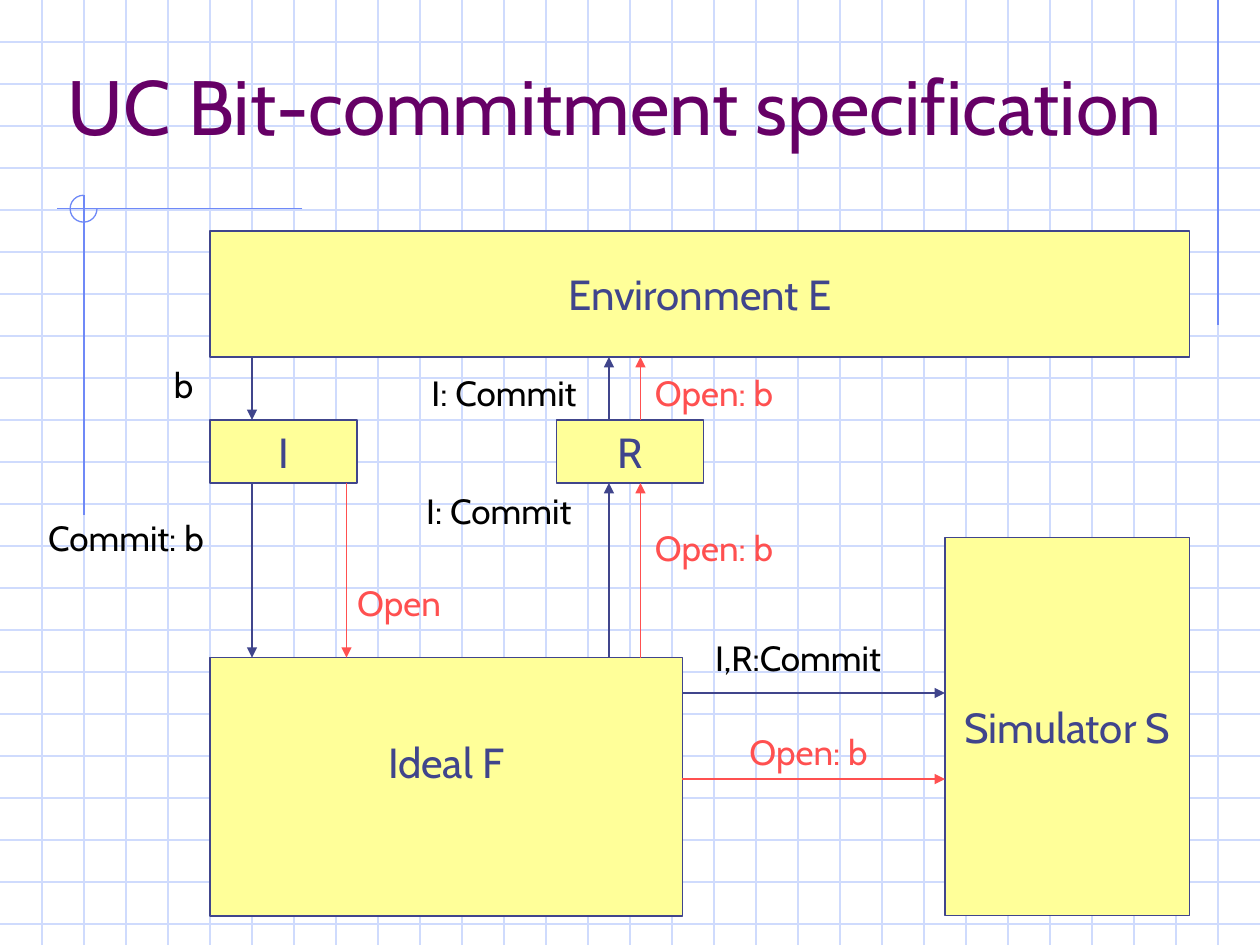
from dataclasses import dataclass

from lxml.etree import SubElement
from pptx import Presentation
from pptx.dml.color import RGBColor
from pptx.enum.shapes import MSO_CONNECTOR, MSO_SHAPE
from pptx.enum.text import MSO_ANCHOR as Anchor
from pptx.enum.text import MSO_AUTO_SIZE as AutoSize
from pptx.enum.text import PP_ALIGN as Align
from pptx.oxml.ns import qn
from pptx.slide import Slide
from pptx.text.text import TextFrame
from pptx.util import Emu, Inches, Pt

# The slide is ruled into squares of a third of an inch
COLUMNS, ROWS = 30, 22.5
SQUARE = Inches(1) / 3
FONT = "Cabin"
COLORS = {
    "grid": "CFDBFD",
    "accent": "6F89F7",
    "title": "660066",
    "box": "FFFF99",
    "commit": "40458C",
    "open": "FF5050",
    "text": "000000",
}


@dataclass(frozen=True)
class Box:
    text: str
    column: float
    row: float
    width: float
    height: float
    lift: float = 0  # how far the text sits above the middle

    @property
    def right(self) -> float:
        return self.column + self.width

    @property
    def bottom(self) -> float:
        return self.row + self.height


@dataclass(frozen=True)
class Line:
    start: tuple[float, float]
    end: tuple[float, float]
    color: str
    arrow: bool = False


@dataclass(frozen=True)
class Label:
    text: str
    column: float
    row: float
    color: str = "text"
    width: float = 5
    height: float = 1.32


def squares(count: float) -> Emu:
    return Emu(round(count * SQUARE))


def color(name: str) -> RGBColor:
    return RGBColor.from_string(COLORS[name])


def write(frame: TextFrame, text: str, size: float, color_name: str,
          align: Align = Align.CENTER) -> None:
    paragraph = frame.paragraphs[0]
    paragraph.alignment = align
    run = paragraph.add_run()
    run.text = text
    run.font.name = FONT
    run.font.size = Pt(size)
    run.font.color.rgb = color(color_name)


def draw_line(slide: Slide, line: Line) -> None:
    points = (squares(value) for value in (*line.start, *line.end))
    connector = slide.shapes.add_connector(MSO_CONNECTOR.STRAIGHT, *points)
    connector.line.color.rgb = color(line.color)
    connector.line.width = Pt(0.75)
    properties = connector._element.spPr
    if line.arrow:
        SubElement(properties.find(qn("a:ln")), qn("a:tailEnd"), type="triangle")
    SubElement(properties, qn("a:effectLst"))


def draw_box(slide: Slide, box: Box) -> None:
    shape = slide.shapes.add_shape(
        MSO_SHAPE.RECTANGLE, squares(box.column), squares(box.row),
        squares(box.width), squares(box.height))
    shape.shadow.inherit = False
    shape.fill.solid()
    shape.fill.fore_color.rgb = color("box")
    shape.line.color.rgb = color("commit")
    shape.line.width = Pt(0.75)
    frame = shape.text_frame
    frame.word_wrap = False
    frame.vertical_anchor = Anchor.MIDDLE
    frame.margin_bottom = Inches(0.05) + 2 * squares(box.lift)
    write(frame, box.text, 24, "commit")


def draw_label(slide: Slide, label: Label) -> None:
    text_box = slide.shapes.add_textbox(
        squares(label.column), squares(label.row),
        squares(label.width), squares(label.height))
    frame = text_box.text_frame
    frame.word_wrap = True
    frame.auto_size = AutoSize.SHAPE_TO_FIT_TEXT
    write(frame, label.text, 20, label.color)


def draw_background(slide: Slide) -> None:
    for row in range(1, int(ROWS) + 1):
        draw_line(slide, Line((0, row), (COLUMNS, row), "grid"))
    for column in range(1, COLUMNS):
        draw_line(slide, Line((column, 0), (column, ROWS), "grid"))

    # Accent lines and the three-quarter ring where two of them cross
    draw_line(slide, Line((29, 0), (29, 7.75), "accent"))
    draw_line(slide, Line((7.2, 4.97), (1.35, 4.97), "accent"))
    draw_line(slide, Line((2, 4.65), (2, 12.27), "accent"))
    ring = slide.shapes.add_shape(
        MSO_SHAPE.ARC, squares(1.67), squares(4.65), squares(0.64), squares(0.64))
    ring.adjustments[0] = 0
    ring.adjustments[1] = 162  # 270 degrees, in units of 100000/60000 degree
    ring.shadow.inherit = False
    ring.fill.background()
    ring.line.color.rgb = color("accent")
    ring.line.width = Pt(0.75)


def draw_title(slide: Slide, text: str) -> None:
    title = slide.shapes.add_textbox(
        squares(1.32), squares(0.75), squares(27), squares(3))
    title.text_frame.word_wrap = True
    title.text_frame.vertical_anchor = Anchor.BOTTOM
    write(title.text_frame, text, 44, "title", Align.LEFT)


# Parties of the protocol
IDEAL = Box("Ideal F", 5, 15.66, 11.25, 6.15, lift=0.6)
ENVIRONMENT = Box("Environment E", 5, 5.5, 23.33, 3)
SIMULATOR = Box("Simulator S", 22.5, 12.8, 5.83, 9)
INITIATOR = Box("I", 5, 10, 3.5, 1.5)
RECEIVER = Box("R", 13.25, 10, 3.5, 1.5)
BOXES = (IDEAL, ENVIRONMENT, SIMULATOR, INITIATOR, RECEIVER)


def down(column: float, upper: Box, lower: Box, color_name: str) -> Line:
    return Line((column, upper.bottom), (column, lower.row), color_name, True)


def up(column: float, lower: Box, upper: Box, color_name: str) -> Line:
    return Line((column, lower.row), (column, upper.bottom), color_name, True)


def across(row: float, left: Box, right: Box, color_name: str) -> Line:
    return Line((left.right, row), (right.column, row), color_name, True)


# Messages between the parties
ARROWS = (
    down(6, ENVIRONMENT, INITIATOR, "commit"),
    down(6, INITIATOR, IDEAL, "commit"),
    down(8.25, INITIATOR, IDEAL, "open"),
    up(14.5, IDEAL, RECEIVER, "commit"),
    up(14.5, RECEIVER, ENVIRONMENT, "commit"),
    up(15.25, IDEAL, RECEIVER, "open"),
    up(15.25, RECEIVER, ENVIRONMENT, "open"),
    across(16.5, IDEAL, SIMULATOR, "commit"),
    across(18.55, IDEAL, SIMULATOR, "open"),
)
LABELS = (
    Label("b", 3.75, 8.5, width=1.25),
    Label("Commit: b", 0.5, 12.15),
    Label("I: Commit", 8.5, 11.5, width=6.75),
    Label("I,R:Commit", 16.5, 15),
    Label("I: Commit", 9.5, 8.7),
    Label("Open", 7, 13.7, "open"),
    Label("Open: b", 14.5, 8.7, "open"),
    Label("Open: b", 14.5, 12.4, "open"),
    Label("Open: b", 16.75, 17.25, "open"),
)


def main() -> None:
    presentation = Presentation()
    presentation.slide_width = squares(COLUMNS)
    presentation.slide_height = squares(ROWS)
    slide = presentation.slides.add_slide(presentation.slide_layouts[6])
    draw_background(slide)
    draw_title(slide, "UC Bit-commitment specification")
    for draw, items in ((draw_box, BOXES), (draw_line, ARROWS), (draw_label, LABELS)):
        for item in items:
            draw(slide, item)
    presentation.save("out.pptx")


if __name__ == "__main__":
    main()
